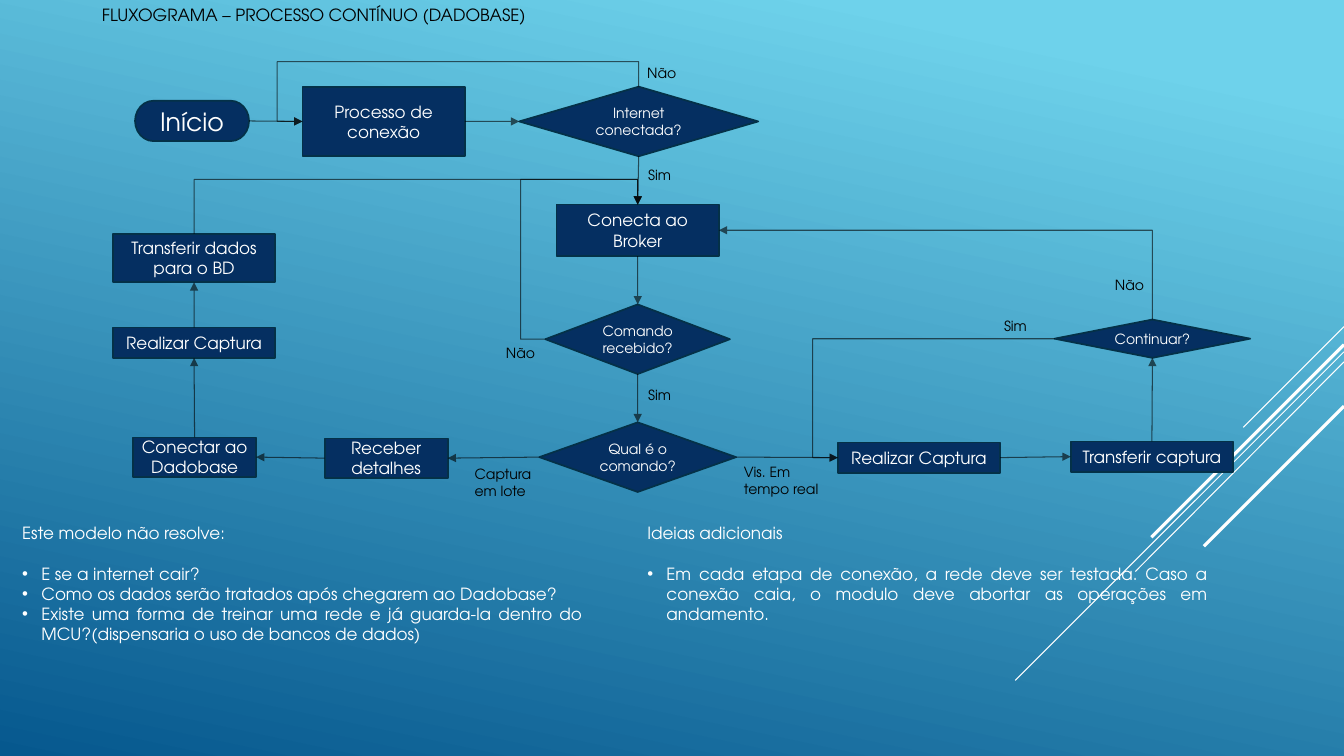
from lxml import etree
from pptx import Presentation
from pptx import util as u
from pptx.dml.color import RGBColor
from pptx.enum import shapes, text
from pptx.oxml.ns import qn

FONT = "TeX Gyre Adventor"
COLORS = {
    "sky": "6ED2EB",
    "deep": "06588E",
    "navy": "052F61",
    "border": "043148",
    "black": "000000",
    "white": "FFFFFF",
}
TOP, LEFT, BOTTOM, RIGHT = range(4)
START = shapes.MSO_SHAPE.FLOWCHART_TERMINATOR
STEP = shapes.MSO_SHAPE.FLOWCHART_PROCESS
CHOICE = shapes.MSO_SHAPE.FLOWCHART_DECISION
TEXT_SIZES = {START: 18, STEP: 12, CHOICE: 10}


def rgb(name):
    """Return a palette colour."""
    return RGBColor.from_string(COLORS[name])


def set_font(paragraph, size, color):
    """Apply the slide's typeface to a whole paragraph."""
    paragraph.font.name = FONT
    paragraph.font.size = u.Pt(size)
    paragraph.font.color.rgb = rgb(color)


def place(box, left, top, width, height):
    """Move and size an element given inches."""
    box.left, box.top = u.Inches(left), u.Inches(top)
    box.width, box.height = u.Inches(width), u.Inches(height)


def paint_background(slide):
    """Fill the slide with the blue gradient."""
    fill = slide.background.fill
    fill.gradient()
    fill.gradient_angle = 258
    for stop, color, position in zip(fill.gradient_stops, ("sky", "deep"), (0.1, 1)):
        stop.color.rgb = rgb(color)
        stop.position = position


def add_line(slide, kind, points, color, width):
    """Draw a plain line without shadow."""
    line = slide.shapes.add_connector(kind, *(u.Inches(p) for p in points))
    line.line.color.rgb = rgb(color)
    line.line.width = u.Pt(width)
    etree.SubElement(line.element.spPr, qn("a:effectLst"))
    return line


def add_arrow(slide, source, source_site, target, target_site,
              kind=shapes.MSO_CONNECTOR.STRAIGHT):
    """Join two steps with a translucent arrow."""
    arrow = add_line(slide, kind, (0, 0, 1, 1), "black", 0.75)
    arrow.begin_connect(source, source_site)
    arrow.end_connect(target, target_site)
    stroke = arrow.element.spPr.find(qn("a:ln"))
    etree.SubElement(next(stroke.iter(qn("a:srgbClr"))), qn("a:alpha"), val="60000")
    etree.SubElement(stroke, qn("a:tailEnd"), type="triangle")
    return arrow


def add_elbow(slide, source, source_site, target, target_site,
              preset, turn, flips, bends=()):
    """Join two steps with an arrow that turns corners."""
    arrow = add_arrow(slide, source, source_site, target, target_site,
                      shapes.MSO_CONNECTOR.ELBOW)
    middle_x = (arrow.begin_x + arrow.end_x) // 2
    middle_y = (arrow.begin_y + arrow.end_y) // 2
    width, height = arrow.width, arrow.height
    if turn % 180:
        width, height = height, width
    arrow.left, arrow.top = middle_x - width // 2, middle_y - height // 2
    arrow.width, arrow.height = width, height
    frame = arrow.element.spPr.find(qn("a:xfrm"))
    frame.set("rot", str(turn * 60000))
    frame.set("flipH", str(int("h" in flips)))
    frame.set("flipV", str(int("v" in flips)))
    geometry = arrow.element.spPr.find(qn("a:prstGeom"))
    geometry.set("prst", preset)
    guides = geometry.find(qn("a:avLst"))
    for number, bend in enumerate(bends, 1):
        etree.SubElement(guides, qn("a:gd"), name=f"adj{number}",
                         fmla=f"val {round(bend * 100000)}")


def add_step(slide, kind, wording, *box, inset=0.1):
    """Add one flowchart symbol."""
    step = slide.shapes.add_shape(kind, *(u.Inches(v) for v in box))
    step.shadow.inherit = False
    step.fill.solid()
    step.fill.fore_color.rgb = rgb("navy")
    step.line.color.rgb = rgb("border")
    step.line.width = u.Pt(1.25)
    frame = step.text_frame
    frame.word_wrap = True
    frame.margin_left = frame.margin_right = u.Inches(inset)
    frame.vertical_anchor = text.MSO_ANCHOR.MIDDLE
    frame.text = wording
    frame.paragraphs[0].alignment = text.PP_ALIGN.CENTER
    set_font(frame.paragraphs[0], TEXT_SIZES[kind], "white")
    return step


def add_label(slide, wording, *box):
    """Add the caption of an arrow."""
    label = slide.shapes.add_textbox(*(u.Inches(v) for v in box))
    label.text_frame.word_wrap = True
    label.text_frame.text = wording
    set_font(label.text_frame.paragraphs[0], 10, "black")


def fill_title(title, wording):
    """Set the slide's heading."""
    place(title, 0.72, 0, 4.79, 0.3)
    frame = title.text_frame
    frame.auto_size = text.MSO_AUTO_SIZE.NONE
    frame.vertical_anchor = text.MSO_ANCHOR.MIDDLE
    frame.text = wording
    frame.paragraphs[0].alignment = text.PP_ALIGN.CENTER
    set_font(frame.paragraphs[0], 12, "black")


def fill_notes(body, box, heading, items):
    """Write a heading and its bulleted remarks."""
    place(body, *box)
    frame = body.text_frame
    frame.auto_size = text.MSO_AUTO_SIZE.NONE
    frame.vertical_anchor = text.MSO_ANCHOR.TOP
    frame.text = "\n".join([heading, *items])
    for index, paragraph in enumerate(frame.paragraphs):
        layout = paragraph._p.get_or_add_pPr()
        indent = u.Inches(0.19) if index else 0
        layout.set("marL", str(indent))
        layout.set("indent", str(-indent))
        if index:
            etree.SubElement(layout, qn("a:buFont"), typeface="Arial")
            etree.SubElement(layout, qn("a:buChar"), char="•")
        else:
            etree.SubElement(layout, qn("a:buNone"))
        paragraph.alignment = text.PP_ALIGN.JUSTIFY
        paragraph.space_before = u.Pt(0)
        paragraph.space_after = u.Pt(0 if index else 14.4)
        set_font(paragraph, 12, "white")


def main():
    """Build the flowchart slide."""
    deck = Presentation()
    deck.slide_width, deck.slide_height = u.Inches(13.33), u.Inches(7.5)
    slide = deck.slides.add_slide(deck.slide_layouts[3])
    paint_background(slide)
    for start_y, end_x, end_y, width in (
            (3.24, 12.33, 4.24, 0.75), (3.49, 10.07, 6.75, 0.75), (3.59, 11.26, 5.67, 0.75),
            (3.42, 11.42, 5.33, 2.25), (4.03, 11.94, 5.42, 2.25)):
        add_line(slide, shapes.MSO_CONNECTOR.STRAIGHT, (13.33, start_y, end_x, end_y), "white", width)

    title, problems, ideas = slide.placeholders
    fill_title(title, "FLUXOGRAMA – PROCESSO CONTÍNUO (DADOBASE)")
    fill_notes(problems, (0.12, 5.14, 5.76, 1.31), "Este modelo não resolve:", [
        "E se a internet cair?",
        "Como os dados serão tratados após chegarem ao Dadobase?",
        "Existe uma forma de treinar uma rede e já guarda-la dentro do "
        "MCU?(dispensaria o uso de bancos de dados)"])
    fill_notes(ideas, (6.32, 5.14, 5.76, 1.11), "Ideias adicionais", [
        "Em cada etapa de conexão, a rede deve ser testada. Caso a conexão caia, "
        "o modulo deve abortar as operações em andamento."])

    start = add_step(slide, START, "Início", 1.34, 1, 1.13, 0.4)
    connection = add_step(slide, STEP, "Processo de conexão", 3, 0.86, 1.61, 0.69)
    online = add_step(slide, CHOICE, "Internet conectada?", 5.15, 0.86, 2.37, 0.69)
    broker = add_step(slide, STEP, "Conecta ao Broker", 5.52, 2.03, 1.61, 0.51)
    received = add_step(slide, CHOICE, "Comando recebido?", 5.41, 3.02, 1.83, 0.69)
    command = add_step(slide, CHOICE, "Qual é o comando?", 5.35, 4.19, 1.95, 0.69)
    details = add_step(slide, STEP, "Receber detalhes", 3.22, 4.35, 1.22, 0.39)
    database = add_step(slide, STEP, "Conectar ao Dadobase", 1.32, 4.34, 1.22, 0.39, inset=0.02)
    batch = add_step(slide, STEP, "Realizar Captura", 1.12, 3.25, 1.61, 0.3)
    upload = add_step(slide, STEP, "Transferir dados para o BD", 1.12, 2.32, 1.61, 0.48)
    live = add_step(slide, STEP, "Realizar Captura", 8.31, 4.39, 1.61, 0.3)
    transfer = add_step(slide, STEP, "Transferir captura", 10.62, 4.38, 1.61, 0.3)
    proceed = add_step(slide, CHOICE, "Continuar?", 10.46, 3.17, 1.94, 0.38)

    for source, source_site, target, target_site in (
            (start, RIGHT, connection, LEFT), (connection, RIGHT, online, LEFT),
            (online, BOTTOM, broker, TOP), (broker, BOTTOM, received, TOP),
            (received, BOTTOM, command, TOP), (command, LEFT, details, RIGHT),
            (details, LEFT, database, RIGHT), (database, TOP, batch, BOTTOM),
            (batch, TOP, upload, BOTTOM), (command, RIGHT, live, LEFT),
            (live, RIGHT, transfer, LEFT), (transfer, TOP, proceed, BOTTOM)):
        add_arrow(slide, source, source_site, target, target_site)
    add_elbow(slide, online, TOP, connection, LEFT, "bentConnector4", 270, "hv", (-0.72, 1.075))
    add_elbow(slide, upload, TOP, broker, TOP, "bentConnector3", 90, "hv", (1.86,))
    add_elbow(slide, proceed, LEFT, live, LEFT, "bentConnector3", 180, "v", (1.116,))
    add_elbow(slide, proceed, TOP, broker, RIGHT, "bentConnector2", 270, "v")
    add_elbow(slide, received, LEFT, broker, TOP, "bentConnector4", 180, "h", (-0.27, 1.187))

    for wording, *box in (
            ("Não", 6.32, 0.59, 0.6, 0.27), ("Sim", 6.33, 1.6, 0.6, 0.27),
            ("Não", 4.92, 3.37, 0.6, 0.27), ("Sim", 6.33, 3.79, 0.6, 0.27),
            ("Sim", 9.86, 3.1, 0.6, 0.27), ("Não", 10.96, 2.69, 0.71, 0.27),
            ("Captura em lote", 4.61, 4.57, 0.83, 0.44),
            ("Vis. Em tempo real", 7.28, 4.55, 1, 0.44)):
        add_label(slide, wording, *box)
    deck.save("out.pptx")


if __name__ == "__main__":
    main()
